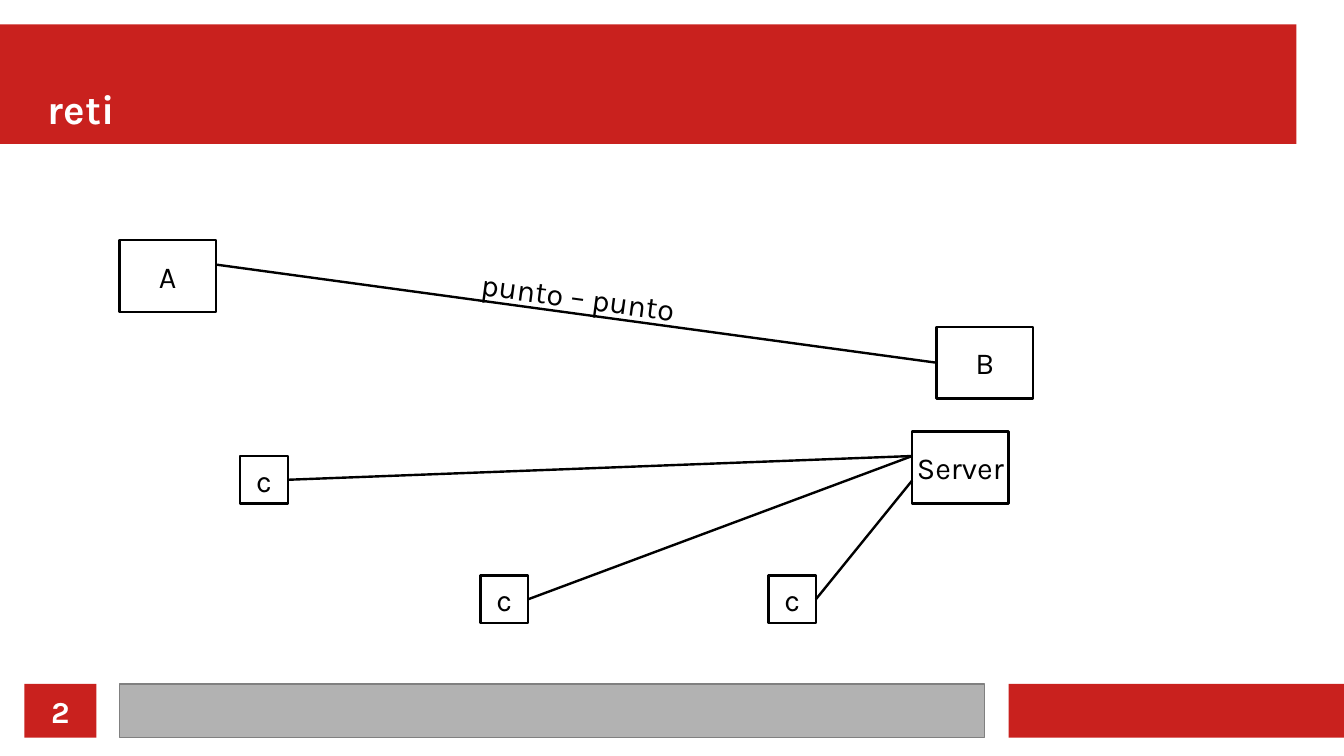
import math

from lxml import etree
from pptx import Presentation
from pptx.dml.color import RGBColor
from pptx.enum.shapes import MSO_CONNECTOR, MSO_SHAPE
from pptx.enum.text import MSO_ANCHOR, PP_ALIGN
from pptx.oxml.ns import qn
from pptx.util import Inches, Pt

RECT = MSO_SHAPE.RECTANGLE
STRAIGHT = MSO_CONNECTOR.STRAIGHT
MIDDLE, BOTTOM = MSO_ANCHOR.MIDDLE, MSO_ANCHOR.BOTTOM
LEFT, CENTER = PP_ALIGN.LEFT, PP_ALIGN.CENTER
LEFT_SIDE, RIGHT_SIDE = 1, 3

COLORS = {"red": "C9211E", "gray": "B2B2B2", "edge": "808080",
          "white": "FFFFFF", "black": "000000"}


def rgb(name):
    return RGBColor.from_string(COLORS[name])


class Deck:
    font = "Karla"
    line_width = 1.42

    def __init__(self, width, height):
        self.prs = Presentation()
        self.prs.slide_width = Inches(width)
        self.prs.slide_height = Inches(height)
        self.s = self.prs.slides.add_slide(self.prs.slide_layouts[6])

    def label(self, sp, text, size=18, color="black", bold=False,
              align=CENTER, anchor=MIDDLE, wrap=False):
        tf = sp.text_frame
        tf.word_wrap = wrap
        tf.vertical_anchor = anchor
        tf.margin_left = tf.margin_right = tf.margin_top = tf.margin_bottom = 0
        p = tf.paragraphs[0]
        p.text = text
        p.alignment = align
        p.font.name = self.font
        p.font.size = Pt(size)
        p.font.bold = bold
        p.font.color.rgb = rgb(color)

    def rect(self, x, y, w, h, fill, line=None, width=0):
        sp = self.s.shapes.add_shape(RECT, Inches(x), Inches(y), Inches(w), Inches(h))
        sp.shadow.inherit = False
        sp.fill.solid()
        sp.fill.fore_color.rgb = rgb(fill)
        if line:
            sp.line.color.rgb = rgb(line)
            sp.line.width = Pt(width)
        else:
            sp.line.fill.background()
        return sp

    def node(self, x, y, w, h, text):
        sp = self.rect(x, y, w, h, "white", "black", self.line_width)
        self.label(sp, text)
        return sp

    def text(self, x, y, w, h, text, rotation=0, **style):
        sp = self.s.shapes.add_textbox(Inches(x), Inches(y), Inches(w), Inches(h))
        sp.rotation = rotation
        self.label(sp, text, **style)

    def link(self, start, end, node, side):
        """Draw a line from start to end; its start is joined to a node's side."""
        c = self.s.shapes.add_connector(STRAIGHT, *map(Inches, start + end))
        c.begin_connect(node, side)
        c.line.color.rgb = rgb("black")
        c.line.width = Pt(self.line_width)
        etree.SubElement(c._element.spPr, qn("a:effectLst"))


def main():
    deck = Deck(11.02, 6.2)

    # Header and footer bands
    deck.rect(0, 0.2, 10.63, 0.98, "red")
    footer_y, footer_h = 5.61, 0.44
    deck.rect(8.27, footer_y, 2.76, footer_h, "red")
    deck.rect(0.98, footer_y, 7.09, footer_h, "gray", "edge")
    number = deck.rect(0.2, footer_y, 0.59, footer_h, "red")
    deck.label(number, "2", color="white", bold=True)
    deck.text(0.39, 0.3, 10.24, 0.79, "reti", size=24, color="white",
              bold=True, align=LEFT, anchor=BOTTOM, wrap=True)

    # Point-to-point link
    node_w, node_h = 0.79, 0.59
    deck.node(0.98, 1.97, node_w, node_h, "A")
    b = deck.node(7.68, 2.68, node_w, node_h, "B")
    a_end, b_end = (1.77, 2.17), (7.68, 2.96)
    deck.link(b_end, a_end, b, LEFT_SIDE)
    slope = math.degrees(math.atan2(b_end[1] - a_end[1], b_end[0] - a_end[0]))
    deck.text(3.74, 2.23, 2, 0.4, "punto – punto", rotation=slope)

    # Clients and server
    deck.node(7.48, 3.54, node_w, node_h, "Server")
    client = 0.39
    for x, y, port_y in ((1.97, 3.74, 3.74), (3.94, 4.72, 3.74), (6.3, 4.72, 3.94)):
        c = deck.node(x, y, client, client, "c")
        deck.link((x + client, y + client / 2), (7.48, port_y), c, RIGHT_SIDE)

    deck.prs.save("out.pptx")


if __name__ == "__main__":
    main()
